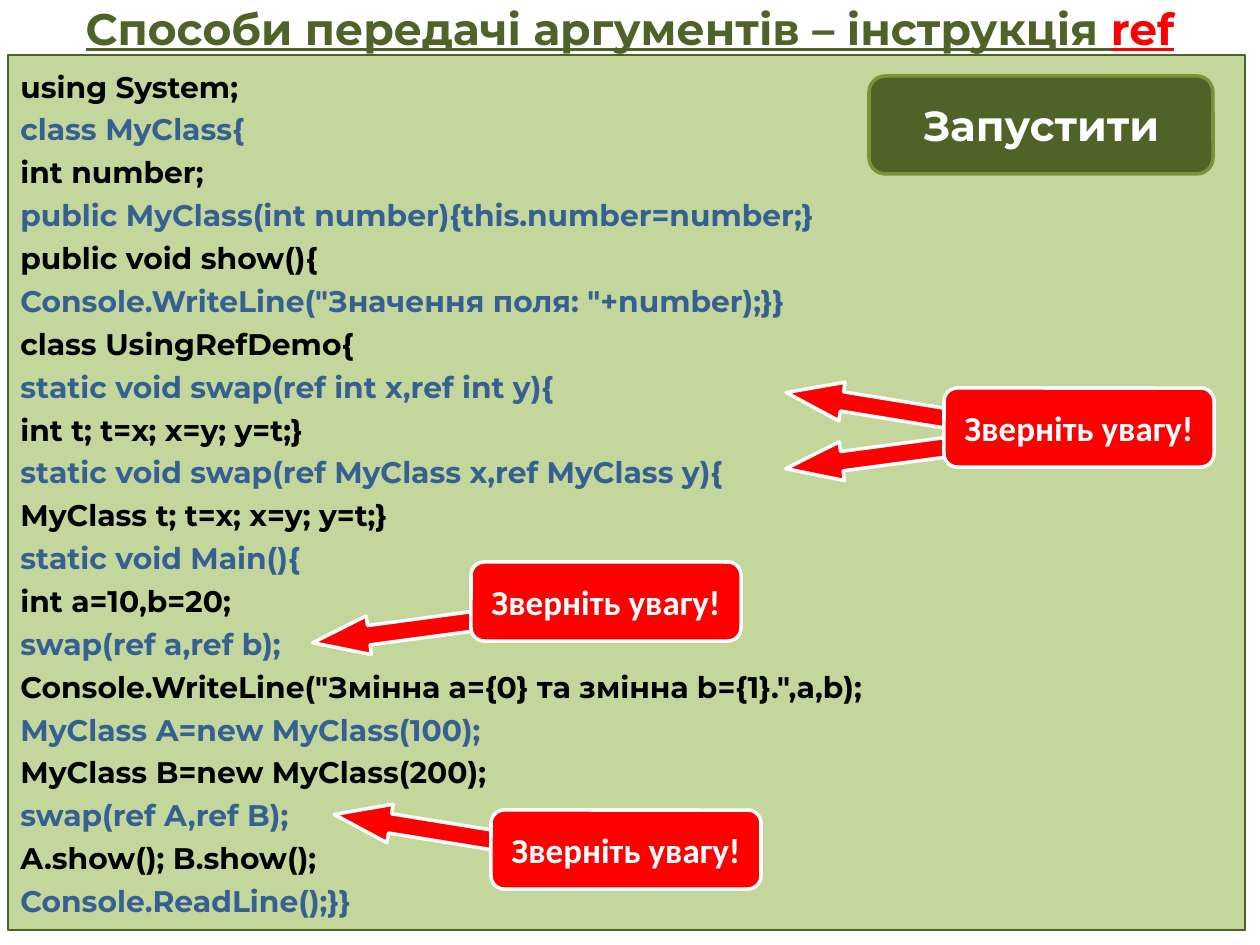
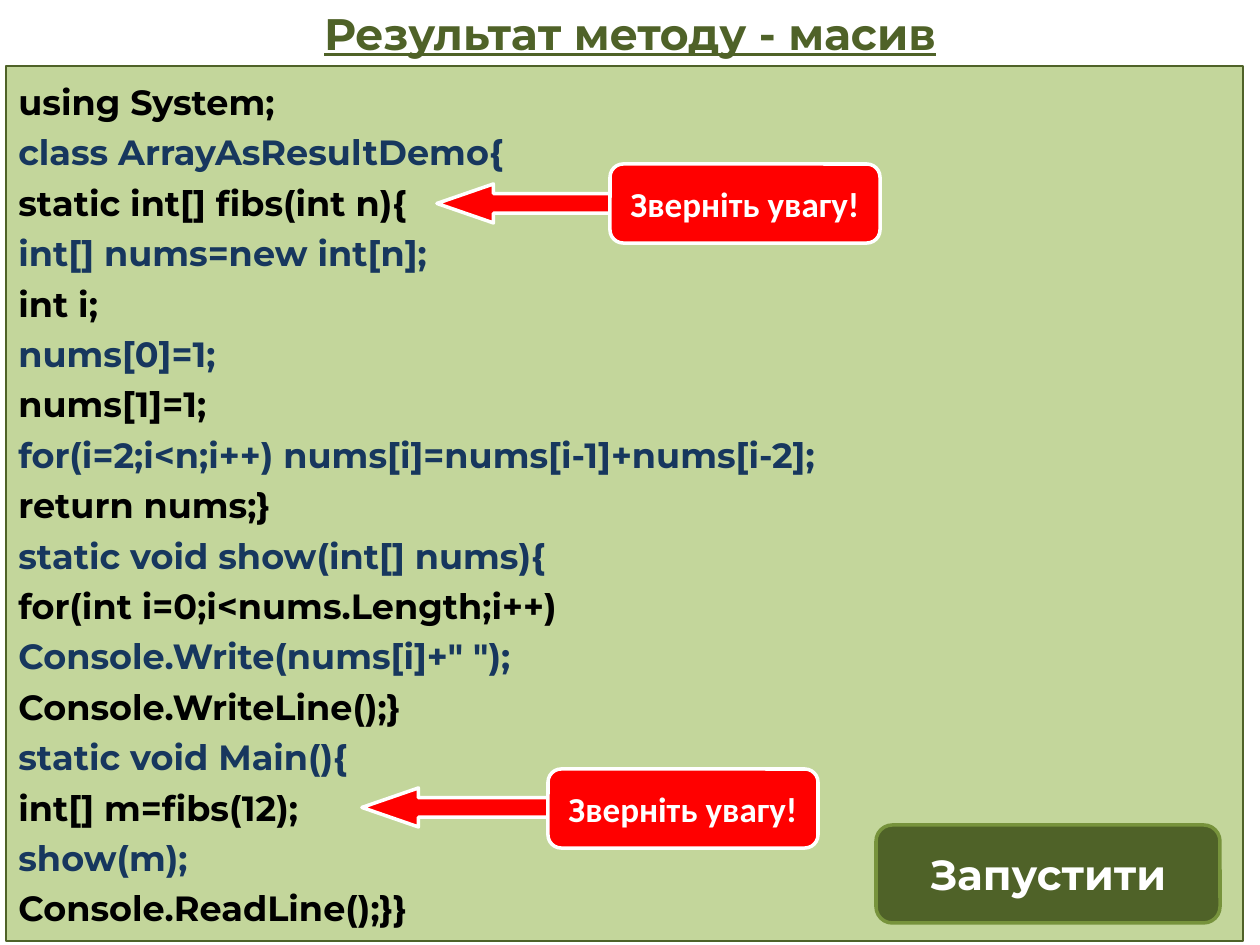
from dataclasses import dataclass

from pptx import Presentation
from pptx.dml.color import RGBColor
from pptx.enum.shapes import MSO_SHAPE
from pptx.enum.text import MSO_ANCHOR, MSO_AUTO_SIZE, PP_ALIGN
from pptx.util import Emu, Pt

PX_PER_INCH = 126
PAGE_WIDTH, PAGE_HEIGHT = 1260, 945
CODE_SIZE = (1237, 875)
RUN_SIZE = (344, 98)
CALLOUT_SIZE = (270, 79)
ARROW_SIZE = (200, 39)

OLIVE, MOSS, SAGE = "4F6228", "77933C", "C3D69B"
RED, WHITE, BLACK = "FF0000", "FFFFFF", "000000"
CODE_FONT, CALLOUT_FONT = "Montserrat", "Calibri"


@dataclass(frozen=True)
class Callout:
    left: int
    top: int


@dataclass(frozen=True)
class Arrow:
    left: int
    top: int
    rotation: float = 0


@dataclass(frozen=True)
class CodePage:
    title: tuple[str, ...]
    title_height: int
    code_corner: tuple[int, int]
    code: str
    code_points: int
    accent: str
    run_corner: tuple[int, int]
    arrows: tuple[Arrow, ...]
    callouts: tuple[Callout, ...]


PAGES = (
    CodePage(
        title=("Способи передачі аргументів – інструкція ", "ref"),
        title_height=55,
        code_corner=(8, 55),
        code="""using System;
class MyClass{
int number;
public MyClass(int number){this.number=number;}
public void show(){
Console.WriteLine("Значення поля: "+number);}}
class UsingRefDemo{
static void swap(ref int x,ref int y){
int t; t=x; x=y; y=t;}
static void swap(ref MyClass x,ref MyClass y){
MyClass t; t=x; x=y; y=t;}
static void Main(){
int a=10,b=20;
swap(ref a,ref b);
Console.WriteLine("Змiнна a={0} та змiнна b={1}.",a,b);
MyClass A=new MyClass(100);
MyClass B=new MyClass(200);
swap(ref A,ref B);
A.show(); B.show();
Console.ReadLine();}}""",
        code_points=17,
        accent="376092",
        run_corner=(869, 76),
        arrows=(
            Arrow(785, 389, 9.2),
            Arrow(785, 436, 352.4),
            Arrow(312, 610, 352.4),
            Arrow(333, 811, 9.2),
        ),
        callouts=(Callout(944, 388), Callout(471, 562), Callout(491, 810)),
    ),
    CodePage(
        title=("Результат методу - масив",),
        title_height=65,
        code_corner=(6, 66),
        code="""using System;
class ArrayAsResultDemo{
static int[] fibs(int n){
int[] nums=new int[n];
int i;
nums[0]=1;
nums[1]=1;
for(i=2;i<n;i++) nums[i]=nums[i-1]+nums[i-2];
return nums;}
static void show(int[] nums){
for(int i=0;i<nums.Length;i++)
Console.Write(nums[i]+" ");
Console.WriteLine();}
static void Main(){
int[] m=fibs(12);
show(m);
Console.ReadLine();}}""",
        code_points=20,
        accent="17375E",
        run_corner=(876, 825),
        arrows=(Arrow(362, 788), Arrow(437, 184)),
        callouts=(Callout(548, 769), Callout(610, 164)),
    ),
)


def px(length: int) -> Emu:
    return Emu(round(length * 914400 / PX_PER_INCH))


def colour(code: str) -> RGBColor:
    return RGBColor.from_string(code)


def style_span(span, font: str, points: float, code: str, underline: bool = False) -> None:
    span.font.name = font
    span.font.size = Pt(points)
    span.font.bold = True
    span.font.underline = underline
    span.font.color.rgb = colour(code)


def add_box(page, kind, corner, size, fill: str, line: str, line_points: float):
    box = page.shapes.add_shape(kind, *map(px, (*corner, *size)))
    box.shadow.inherit = False
    box.fill.solid()
    box.fill.fore_color.rgb = colour(fill)
    box.line.color.rgb = colour(line)
    box.line.width = Pt(line_points)
    return box


def add_label(page, corner, size, text: str, font: str, points: int, fill: str, line: str) -> None:
    box = add_box(page, MSO_SHAPE.ROUNDED_RECTANGLE, corner, size, fill, line, 2)
    frame = box.text_frame
    frame.text = text
    frame.word_wrap = True
    frame.vertical_anchor = MSO_ANCHOR.MIDDLE
    para = frame.paragraphs[0]
    para.alignment = PP_ALIGN.CENTER
    style_span(para.runs[0], font, points, WHITE)


def add_title(page, parts: tuple[str, ...], height: int) -> None:
    box = page.shapes.add_textbox(0, 0, px(PAGE_WIDTH), px(height))
    frame = box.text_frame
    frame.word_wrap = True
    frame.margin_top = frame.margin_bottom = 0
    frame.vertical_anchor = MSO_ANCHOR.MIDDLE
    para = frame.paragraphs[0]
    para.alignment = PP_ALIGN.CENTER
    for part, code in zip(parts, (OLIVE, RED)):
        span = para.add_run()
        span.text = part
        style_span(span, CODE_FONT, 25.2, code, underline=True)


def add_code(page, content: CodePage) -> None:
    box = add_box(page, MSO_SHAPE.RECTANGLE, content.code_corner, CODE_SIZE, SAGE, OLIVE, 0.75)
    frame = box.text_frame
    frame.text = content.code
    frame.word_wrap = True
    frame.auto_size = MSO_AUTO_SIZE.SHAPE_TO_FIT_TEXT
    frame.vertical_anchor = MSO_ANCHOR.TOP
    for index, para in enumerate(frame.paragraphs):
        para.alignment = PP_ALIGN.LEFT
        para.line_spacing = 1.2
        code = content.accent if index % 2 else BLACK
        style_span(para.runs[0], CODE_FONT, content.code_points, code)


def add_arrow(page, arrow: Arrow) -> None:
    corner = (arrow.left, arrow.top)
    box = add_box(page, MSO_SHAPE.LEFT_ARROW, corner, ARROW_SIZE, RED, WHITE, 2)
    box.adjustments[0] = 0.5
    box.adjustments[1] = 1.45
    box.rotation = arrow.rotation


def add_page(deck, content: CodePage) -> None:
    page = deck.slides.add_slide(deck.slide_layouts[6])
    add_code(page, content)
    add_title(page, content.title, content.title_height)
    add_label(page, content.run_corner, RUN_SIZE, "Запустити", CODE_FONT, 24, OLIVE, MOSS)
    for arrow in content.arrows:
        add_arrow(page, arrow)
    for callout in content.callouts:
        corner = (callout.left, callout.top)
        add_label(page, corner, CALLOUT_SIZE, "Зверніть увагу!", CALLOUT_FONT, 20, RED, WHITE)


def main() -> None:
    deck = Presentation()
    deck.slide_width = px(PAGE_WIDTH)
    deck.slide_height = px(PAGE_HEIGHT)
    for content in PAGES:
        add_page(deck, content)
    deck.save("out.pptx")


if __name__ == "__main__":
    main()
